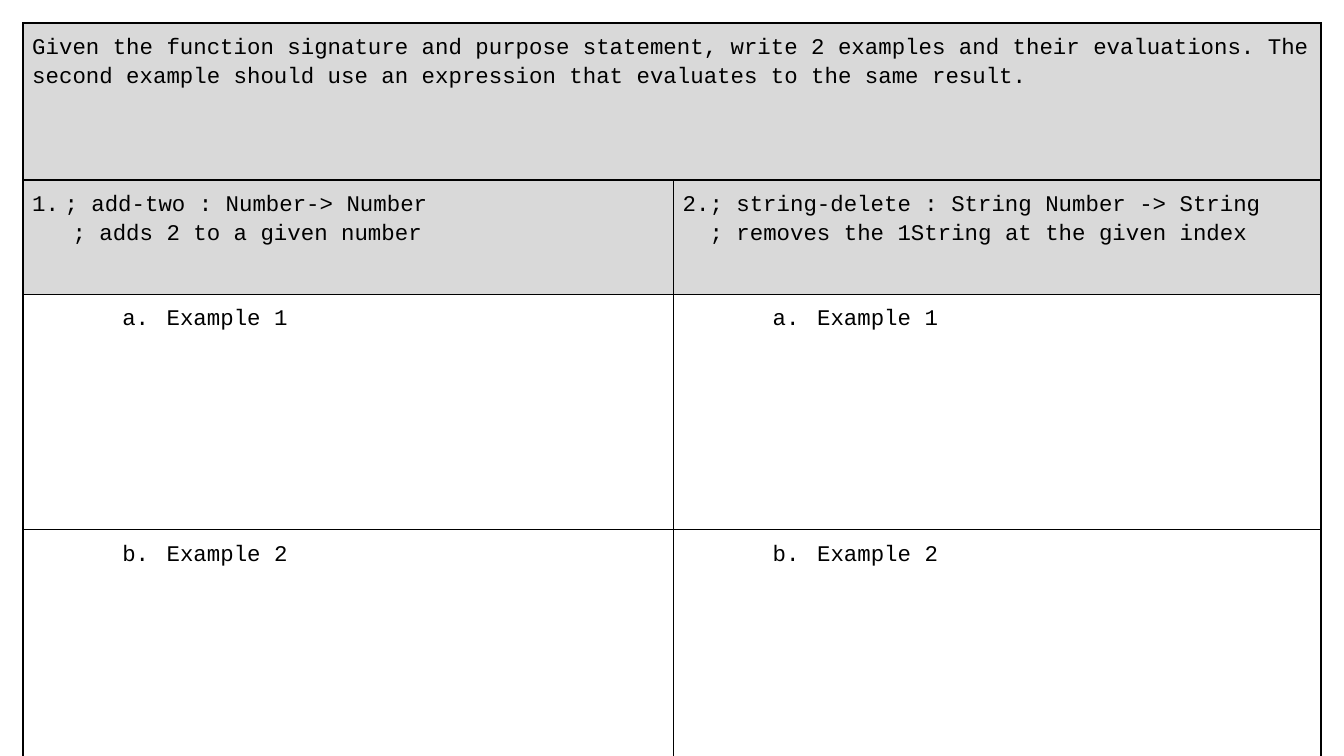
from lxml.etree import SubElement
from pptx import Presentation
from pptx.dml.color import RGBColor
from pptx.oxml.ns import qn
from pptx.util import Inches, Pt

INK, GREY = "000000", "D9D9D9"
FONT, SIZE = "Courier New", 12
LEFT, TOP, INSET = 0.17, 0.17, 0.07
COLS = [4.84, 4.82]
ROWS = [1.17, 0.85, 1.75, 1.69]

TASK = (
    "Given the function signature and purpose statement, write 2 examples "
    "and their evaluations. The second example should use an expression "
    "that evaluates to the same result."
)
# Signature, purpose, left indent and hanging indent of the number
PROBLEMS = [
    ("; add-two : Number-> Number",
     "   ; adds 2 to a given number", 0.24, -0.33),
    ("; string-delete : String Number -> String",
     "  ; removes the 1String at the given index", 0.17, -0.27),
]
EXAMPLES = ["Example 1", "Example 2"]


def color(code):
    return RGBColor.from_string(code)


def add_borders(cell):
    props = cell._tc.get_or_add_tcPr()
    for side in ("lnL", "lnR", "lnT", "lnB"):
        line = SubElement(props, qn(f"a:{side}"), w=str(Pt(1)))
        fill = SubElement(line, qn("a:solidFill"))
        SubElement(fill, qn("a:srgbClr"), val=INK)


def fill_cell(cell, lines, shade=None):
    add_borders(cell)
    if shade:
        cell.fill.solid()
        cell.fill.fore_color.rgb = color(shade)
    else:
        cell.fill.background()
    cell.margin_left = cell.margin_right = Inches(INSET)
    cell.margin_top = cell.margin_bottom = Inches(INSET)
    cell.text_frame.text = "\n".join(lines)
    for para in cell.text_frame.paragraphs:
        para.line_spacing = 1.15
        for run in para.runs:
            run.font.name = FONT
            run.font.size = Pt(SIZE)
            run.font.color.rgb = color(INK)


def number(cell, style, start, left, hang, level=0):
    """Number the first paragraph of a cell."""
    para = cell.text_frame.paragraphs[0]
    para.level = level
    props = para._p.get_or_add_pPr()
    props.set("marL", str(Inches(left)))
    props.set("indent", str(Inches(hang)))
    SubElement(props, qn("a:buFont"), typeface=FONT)
    SubElement(props, qn("a:buAutoNum"), type=style, startAt=str(start))


prs = Presentation()
prs.slide_width = Inches(10)
prs.slide_height = Inches(10 * 9 / 16)
slide = prs.slides.add_slide(prs.slide_layouts[6])

table = slide.shapes.add_table(
    len(ROWS), len(COLS), Inches(LEFT), Inches(TOP),
    Inches(sum(COLS)), Inches(sum(ROWS))).table
table.first_row = table.horz_banding = False
for col, width in zip(table.columns, COLS):
    col.width = Inches(width)
for row, height in zip(table.rows, ROWS):
    row.height = Inches(height)

head = table.cell(0, 0)
head.merge(table.cell(0, 1))
fill_cell(head, [TASK], GREY)
add_borders(table.cell(0, 1))

for c, (sign, purpose, left, hang) in enumerate(PROBLEMS):
    cell = table.cell(1, c)
    fill_cell(cell, [sign, purpose], GREY)
    number(cell, "arabicPeriod", c + 1, left, hang)
    for r, label in enumerate(EXAMPLES):
        cell = table.cell(r + 2, c)
        fill_cell(cell, [label])
        number(cell, "alphaLcPeriod", r + 1, 1, -0.33, level=1)

prs.save("out.pptx")
